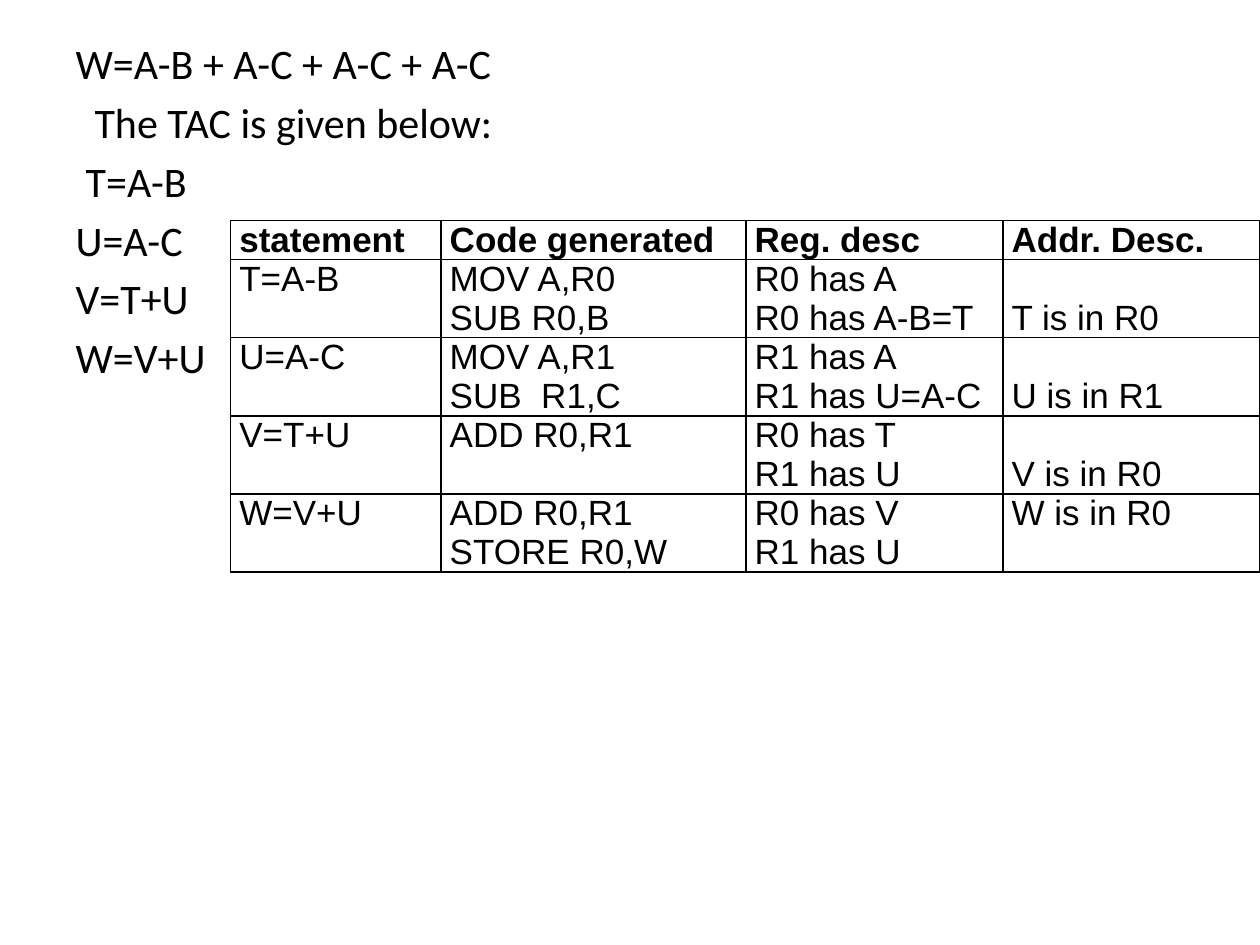
"""Builds a slide that shows code generation for three-address code."""
from lxml.etree import SubElement
from pptx import Presentation
from pptx.dml.color import RGBColor
from pptx.enum.text import MSO_ANCHOR as Anchor, MSO_AUTO_SIZE as AutoSize, PP_ALIGN as Align
from pptx.oxml.ns import qn
from pptx.util import Inches, Pt

COLORS = {"text": "000000", "border": "000000"}
HANGING = 0.38

TAC_LINES = [
    ("W=A-B + A-C + A-C + A-C", 0),
    ("The TAC is given below:", 0.15),
    ("T=A-B", 0.08),
    ("U=A-C", 0),
    ("V=T+U", 0),
    ("W=V+U", 0),
]
COLUMN_WIDTHS = [1.67, 2.42, 2.04, 2.04]
HEADERS = ["statement", "Code generated", "Reg. desc", "Addr. Desc."]
STEPS = [
    (["T=A-B"], ["MOV A,R0", "SUB R0,B"], ["R0 has A", "R0 has A-B=T"], ["T is in R0"], Anchor.BOTTOM),
    (["U=A-C"], ["MOV A,R1", "SUB  R1,C"], ["R1 has A", "R1 has U=A-C"], ["U is in R1"], Anchor.BOTTOM),
    (["V=T+U"], ["ADD R0,R1"], ["R0 has T", "R1 has U"], ["V is in R0"], Anchor.BOTTOM),
    (["W=V+U"], ["ADD R0,R1", "STORE R0,W"], ["R0 has V", "R1 has U"], ["W is in R0"], Anchor.TOP),
]


def write_text(paragraph, text, *, font, size, bold=False, align=None):
    """Put formatted text in a paragraph."""
    run = paragraph.add_run()
    run.text = text
    run.font.name = font
    run.font.size = Pt(size)
    run.font.bold = bold
    run.font.color.rgb = RGBColor.from_string(COLORS["text"])
    if align is not None:
        paragraph.alignment = align


class SlideBuilder:
    """Holds the text styles and the current slide."""

    body_style = {"font": "Calibri", "size": 24}
    cell_style = {"font": "Arial", "size": 20, "align": Align.JUSTIFY}
    line_height = 0.31

    def __init__(self, slide):
        """Keep the slide and drop its unused title."""
        self.slide = slide
        title = slide.shapes.title
        title.element.getparent().remove(title.element)

    def body(self, lines, left, top, width, height):
        """Fill the body placeholder with unbulleted lines."""
        body = self.slide.placeholders[1]
        body.left, body.top = Inches(left), Inches(top)
        body.width, body.height = Inches(width), Inches(height)
        frame = body.text_frame
        frame.auto_size = AutoSize.NONE
        for index, (text, gap) in enumerate(lines):
            paragraph = frame.add_paragraph() if index else frame.paragraphs[0]
            paragraph.space_before = Pt(4.8 if index else 0)
            properties = paragraph._p.get_or_add_pPr()
            properties.set("marL", str(Inches(HANGING)))
            properties.set("indent", str(Inches(gap - HANGING)))
            SubElement(properties, qn("a:buNone"))
            write_text(paragraph, text, **self.body_style)

    def cell(self, cell, lines, anchor=Anchor.TOP, bold=False):
        """Fill one bordered table cell."""
        cell.margin_left = cell.margin_right = Inches(0.07)
        cell.margin_top = cell.margin_bottom = 0
        cell.vertical_anchor = anchor
        properties = cell._tc.get_or_add_tcPr()
        for side in ("lnL", "lnR", "lnT", "lnB"):
            border = SubElement(properties, qn(f"a:{side}"), w=str(Pt(1)))
            fill = SubElement(border, qn("a:solidFill"))
            SubElement(fill, qn("a:srgbClr"), val=COLORS["border"])
        cell.fill.background()
        frame = cell.text_frame
        for index, text in enumerate(lines):
            paragraph = frame.add_paragraph() if index else frame.paragraphs[0]
            write_text(paragraph, text, bold=bold, **self.cell_style)

    def table(self, headers, steps, left, top):
        """Add the table of generated code and descriptors."""
        row_heights = [self.line_height] + [2 * self.line_height] * len(steps)
        table = self.slide.shapes.add_table(
            len(row_heights), len(headers), Inches(left), Inches(top),
            Inches(sum(COLUMN_WIDTHS)), Inches(sum(row_heights))).table
        table.first_row = table.horz_banding = False
        for column, width in zip(table.columns, COLUMN_WIDTHS):
            column.width = Inches(width)
        for row, height in zip(table.rows, row_heights):
            row.height = Inches(height)
        for column, header in enumerate(headers):
            self.cell(table.cell(0, column), [header], bold=True)
        for row, (*contents, address_anchor) in enumerate(steps, 1):
            anchors = [Anchor.TOP] * 3 + [address_anchor]
            for column, (lines, anchor) in enumerate(zip(contents, anchors)):
                self.cell(table.cell(row, column), lines, anchor)


def main():
    """Build and save the presentation."""
    presentation = Presentation()
    presentation.slide_width, presentation.slide_height = Inches(10), Inches(7.5)
    builder = SlideBuilder(presentation.slides.add_slide(presentation.slide_layouts[1]))
    builder.body(TAC_LINES, 0.5, 0.25, 9, 4.95)
    builder.table(HEADERS, STEPS, 1.83, 1.75)
    presentation.save("out.pptx")


if __name__ == "__main__":
    main()
